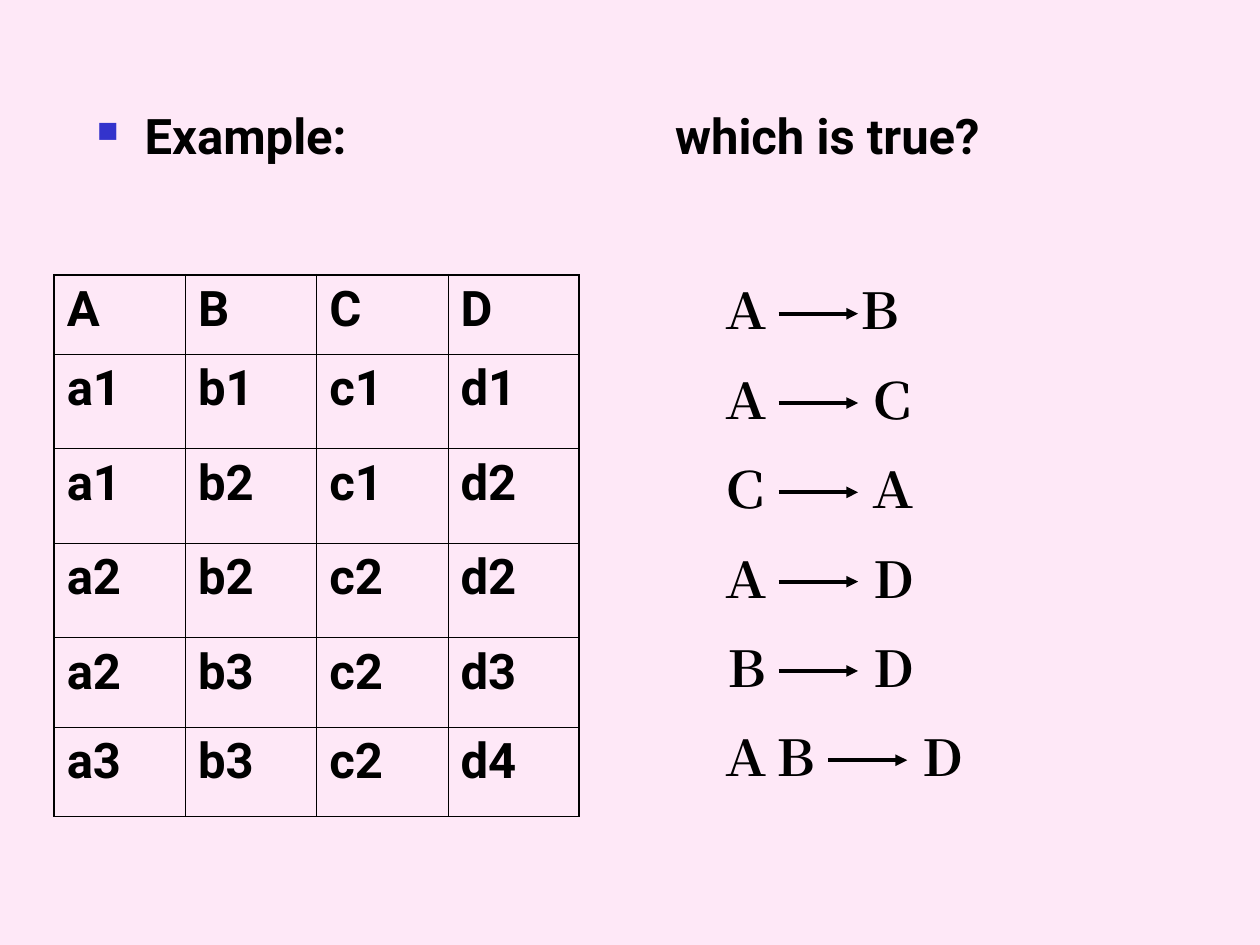
from lxml.etree import SubElement as sub_element
from pptx import Presentation
from pptx.dml.color import RGBColor
from pptx.enum.shapes import MSO_CONNECTOR as Connector
from pptx.oxml.ns import qn
from pptx.util import Inches, Pt

WIDTH, HEIGHT = Inches(10), Inches(7.5)
COLORS = {"page": "FEE8F7", "ink": "000000", "bullet": "3333CC"}
TEXT_FONT, FORMULA_FONT = "Roboto", "Times New Roman"
THIN, THICK = Pt(0.45), Pt(1.08)

RELATION = ["A B C D", "a1 b1 c1 d1", "a1 b2 c1 d2",
            "a2 b2 c2 d2", "a2 b3 c2 d3", "a3 b3 c2 d4"]
ROW_SHARES = [8.4, 10, 10, 10, 9.47, 9.47]
COLUMN_SHARE = 10.42

# Left side, right side, tab stop of the right side in points
DEPENDENCIES = [("Ａ", "Ｂ", 76), ("Ａ", "Ｃ", 84), ("Ｃ", "Ａ", 84),
                ("Ａ", "Ｄ", 84), ("Ｂ", "Ｄ", 84), ("ＡＢ", "Ｄ", 112)]
FORMULA_PITCH = 9.45


def across(percent):
    return round(WIDTH * percent / 100)


def down(percent):
    return round(HEIGHT * percent / 100)


def color(name):
    return RGBColor.from_string(COLORS[name])


def style(para, font_name):
    font = para.font
    font.name, font.size, font.bold = font_name, Pt(28), True
    font.color.rgb = color("ink")


def add_box(page, left, top, width, height):
    box = page.shapes.add_textbox(across(left), down(top), across(width), down(height))
    box.text_frame.word_wrap = True
    return box.text_frame


def add_heading(page, text, left, width, bulleted=False):
    para = add_box(page, left, 10.53, width, 10.5).paragraphs[0]
    para.text = text
    if bulleted:
        props = para._p.get_or_add_pPr()
        props.set("marL", str(Inches(0.38)))
        props.set("indent", str(-Inches(0.38)))
        tint = sub_element(props, qn("a:buClr"))
        sub_element(tint, qn("a:srgbClr"), val=COLORS["bullet"])
        sub_element(props, qn("a:buSzPct"), val="60000")
        sub_element(props, qn("a:buChar"), char="■")
    style(para, TEXT_FONT)


def set_border(cell, side, width):
    line = sub_element(cell._tc.get_or_add_tcPr(), qn(f"a:ln{side}"), w=str(width))
    fill = sub_element(line, qn("a:solidFill"))
    sub_element(fill, qn("a:srgbClr"), val=COLORS["ink"])


def add_relation(page):
    rows = [line.split() for line in RELATION]
    last_row, last_column = len(rows) - 1, len(rows[0]) - 1
    table = page.shapes.add_table(
        len(rows), len(rows[0]), across(4.3), down(29.07),
        across(COLUMN_SHARE * len(rows[0])), down(sum(ROW_SHARES))).table
    table.first_row = table.horz_banding = False
    for column in table.columns:
        column.width = across(COLUMN_SHARE)
    for r, (values, share) in enumerate(zip(rows, ROW_SHARES)):
        table.rows[r].height = down(share)
        for c, value in enumerate(values):
            cell = table.cell(r, c)
            cell.text = value
            style(cell.text_frame.paragraphs[0], TEXT_FONT)
            # Heavier lines on the outer edge only
            outer = {"L": c == 0, "R": c == last_column,
                     "T": r == 0, "B": r == last_row}
            for side, is_outer in outer.items():
                set_border(cell, side, THICK if is_outer else THIN)
            cell.fill.background()


def add_arrow(page, left, top):
    arrow = page.shapes.add_connector(
        Connector.STRAIGHT, across(left), down(top), across(left + 6.3), down(top))
    arrow.line.color.rgb = color("ink")
    arrow.line.width = Pt(2.25)
    sub_element(arrow.line._get_or_add_ln(), qn("a:tailEnd"), type="triangle")
    sub_element(arrow._element.spPr, qn("a:effectLst"))


def add_dependencies(page):
    frame = add_box(page, 56.3, 29.07, 33.9, 54.9)
    for index, (left_side, right_side, stop) in enumerate(DEPENDENCIES):
        para = frame.add_paragraph() if index else frame.paragraphs[0]
        span = para.add_run()
        span.text = f"{left_side}\t{right_side}"
        para.line_spacing = Pt(33.6)
        para.space_before = Pt(17.5 if index else 0)
        tabs = sub_element(para._p.get_or_add_pPr(), qn("a:tabLst"))
        sub_element(tabs, qn("a:tab"), pos=str(Pt(stop)), algn="l")
        style(para, FORMULA_FONT)
        # Full-width letters take the East Asian typeface
        sub_element(span.font._element, qn("a:ea"), typeface=FORMULA_FONT)
        # Each further letter on the left pushes the arrow right
        add_arrow(page, 61.8 + 3.9 * (len(left_side) - 1),
                  33.2 + FORMULA_PITCH * index)


def main():
    deck = Presentation()
    deck.slide_width, deck.slide_height = WIDTH, HEIGHT
    page = deck.slides.add_slide(deck.slide_layouts[6])
    page.background.fill.solid()
    page.background.fill.fore_color.rgb = color("page")

    # Headings
    add_heading(page, "Example:", 6.7, 40, bulleted=True)
    add_heading(page, "which is true?", 52.6, 41.5)
    # Relation and candidate dependencies
    add_relation(page)
    add_dependencies(page)

    deck.save("out.pptx")


if __name__ == "__main__":
    main()
